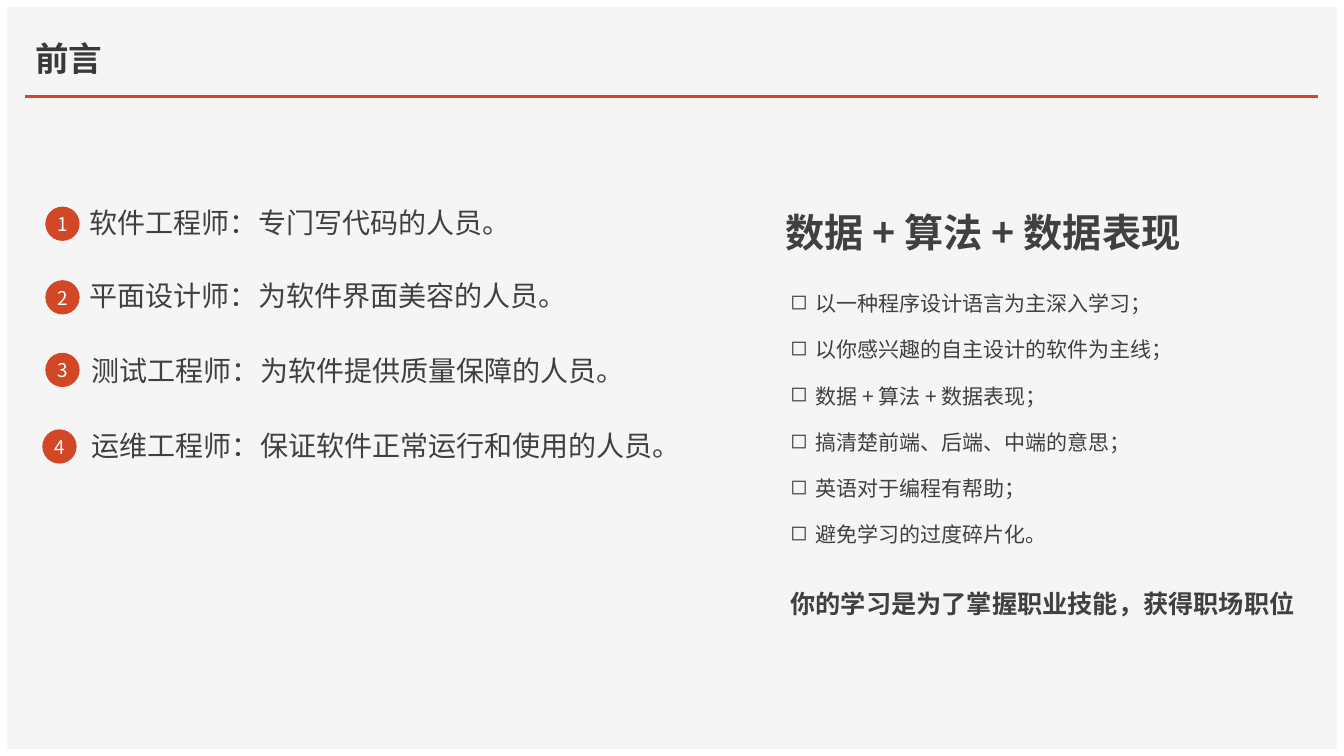
from dataclasses import dataclass
from lxml.etree import SubElement as Sub
from pptx import Presentation
from pptx.dml.color import RGBColor as Color
from pptx.enum.shapes import MSO_CONNECTOR as Link, MSO_SHAPE as Form
from pptx.enum.text import MSO_ANCHOR as Anchor, MSO_AUTO_SIZE as Fit, PP_ALIGN as Align
from pptx.oxml.ns import qn
from pptx.util import Pt

PX = 9144


@dataclass(frozen=True)
class Theme:
    font: str = "Noto Sans CJK SC"
    panel: str = "F5F5F5"
    red: str = "D24726"
    title: str = "3B3838"
    ink: str = "404040"
    white: str = "FFFFFF"
    head: float = 24
    hero: float = 28
    job: float = 20
    note: float = 18
    body: float = 15
    badge: float = 13.5


LOOK = Theme()

JOBS = [
    (45, 205, 82, 208, "软件工程师：专门写代码的人员。"),
    (45, 278, 82, 281, "平面设计师：为软件界面美容的人员。"),
    (45, 350, 84, 355, "测试工程师：为软件提供质量保障的人员。"),
    (42, 426, 84, 429, "运维工程师：保证软件正常运行和使用的人员。"),
]

TIPS = [
    "以一种程序设计语言为主深入学习；",
    "以你感兴趣的自主设计的软件为主线；",
    "数据 + 算法 + 数据表现；",
    "搞清楚前端、后端、中端的意思；",
    "英语对于编程有帮助；",
    "避免学习的过度碎片化。",
]


def scale(*sizes):
    return [size * PX for size in sizes]


def add_mark(para, mark):
    props = para._p.get_or_add_pPr()
    props.set("marL", str(25 * PX))
    props.set("indent", str(-25 * PX))
    Sub(props, qn("a:buChar"), char=mark)


def add_text(shapes, area, lines, size, color=LOOK.ink, bold=False, pad=(7, 4),
             align=Align.LEFT, anchor=Anchor.TOP, lead=None, gap=0, mark=None, fit=Fit.NONE):
    frame = shapes.add_textbox(*scale(*area)).text_frame
    frame.word_wrap = True
    frame.auto_size = fit
    frame.vertical_anchor = anchor
    frame.margin_left = frame.margin_right = pad[0] * PX
    frame.margin_top = frame.margin_bottom = pad[1] * PX
    for place, line in enumerate(lines):
        para = frame.add_paragraph() if place else frame.paragraphs[0]
        para.alignment = align
        para.line_spacing = lead
        para.space_before = Pt(gap if place else 0)
        para.space_after = Pt(gap)
        if mark:
            add_mark(para, mark)
        run = para.add_run()
        run.text = line
        font = run.font
        font.size, font.bold, font.name = Pt(size), bold, LOOK.font
        font.color.rgb = Color.from_string(color)
        Sub(run._r.get_or_add_rPr(), qn("a:ea"), typeface=LOOK.font)


def add_form(shapes, form, area, color):
    shape = shapes.add_shape(form, *scale(*area))
    shape.shadow.inherit = False
    shape.fill.solid()
    shape.fill.fore_color.rgb = Color.from_string(color)
    shape.line.fill.background()


def add_rule(shapes, ends, color):
    rule = shapes.add_connector(Link.STRAIGHT, *scale(*ends))
    rule.line.color.rgb = Color.from_string(color)
    rule.line.width = Pt(2)
    Sub(rule._element.spPr, qn("a:effectLst"))


def add_badge(shapes, left, top, label):
    group = shapes.add_group_shape().shapes
    add_form(group, Form.OVAL, (left, top, 34, 34), LOOK.red)
    add_text(group, (left - 6, top + 1, 46, 33), [label], LOOK.badge, color=LOOK.white,
             pad=(10, 5), align=Align.CENTER, fit=Fit.SHAPE_TO_FIT_TEXT)


def main():
    deck = Presentation()
    deck.slide_width, deck.slide_height = scale(1333, 750)
    shapes = deck.slides.add_slide(deck.slide_layouts[6]).shapes

    add_form(shapes, Form.RECTANGLE, (7, 7, 1319, 736), LOOK.panel)
    add_rule(shapes, (25, 96, 1307, 96), LOOK.red)
    add_text(shapes, (25, 13, 752, 70), ["前言"], LOOK.head, color=LOOK.title, bold=True,
             pad=(10, 5), anchor=Anchor.BOTTOM)

    for count, (left, top, start, head, job) in enumerate(JOBS, 1):
        add_badge(shapes, left, top, str(count))
        add_text(shapes, (start, head, 594, 46), [job], LOOK.job, lead=Pt(18))

    add_text(shapes, (777, 272, 379, 282), TIPS, LOOK.body, lead=1.5, gap=3, mark="◻")
    add_text(shapes, (777, 565, 529, 107), ["你的学习是为了掌握职业技能，获得职场职位"],
             LOOK.note, bold=True, lead=1.5, gap=3)
    add_text(shapes, (772, 179, 509, 93), ["数据 + 算法 + 数据表现"],
             LOOK.hero, bold=True, lead=1.5, gap=3)

    deck.save("out.pptx")


if __name__ == "__main__":
    main()
